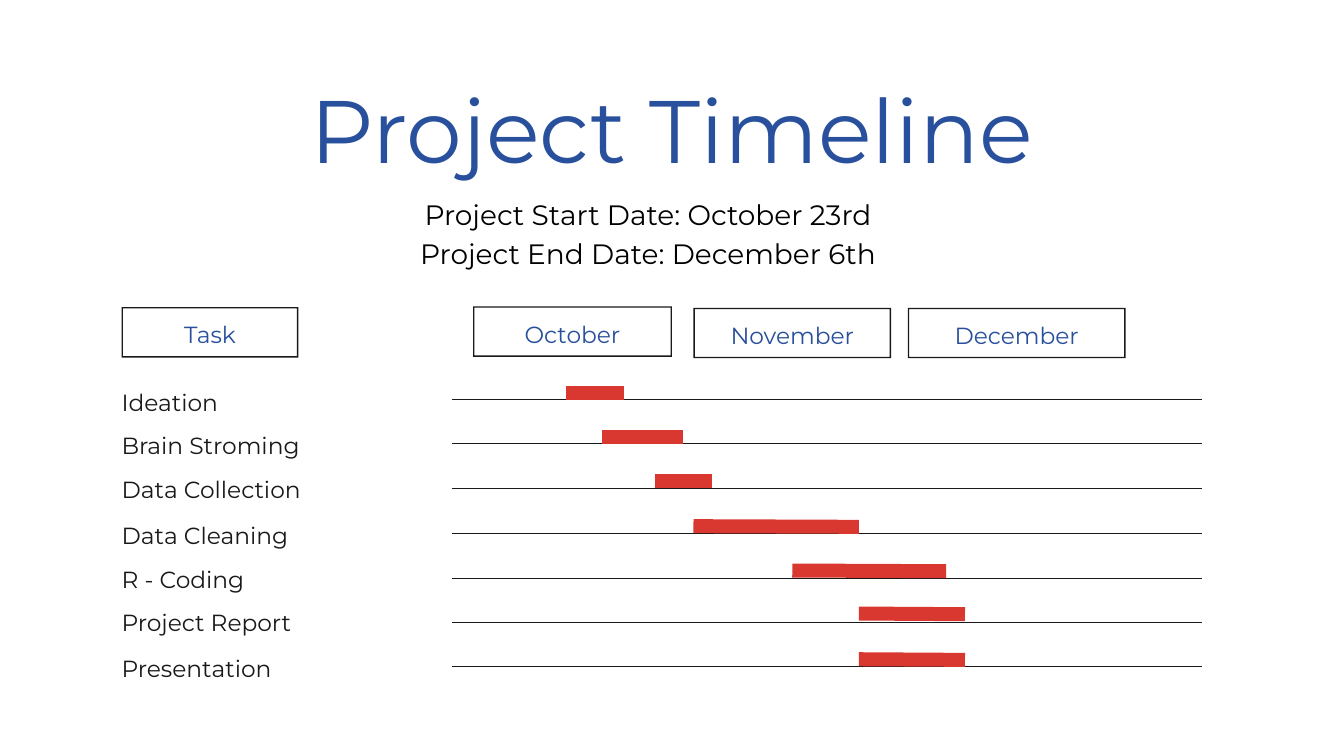
from pptx import Presentation
from pptx.dml.color import RGBColor
from pptx.enum.shapes import MSO_CONNECTOR as Conn
from pptx.enum.text import MSO_AUTO_SIZE as Fit, PP_ALIGN as Align
from pptx.oxml.ns import qn
from pptx.util import Pt
from lxml.etree import SubElement

PX = 9144  # EMU in one px, 100 px to the inch
FONT = "Montserrat"
BLUE, INK, RED, BLACK = "29509C", "191919", "D93830", "000000"

# name, left, top, width, text inset
HEADS = [
    ("October", 704, 456, 296, 32),
    ("November", 1032, 458, 294, 32),
    ("December", 1351, 458, 324, 36),
    ("Task", 181, 457, 263, 29),
]
# name, label top, rule y, bar start, bar end, bar y, bar drop
TASKS = [
    ("Ideation", 570, 595, 843, 928, 585, 0),
    ("Brain Stroming", 634, 660, 896, 1017, 651, 0),
    ("Data Collection", 700, 726, 975, 1060, 716, 0),
    ("Data Cleaning", 769, 794, 1032, 1278, 783, 1),
    ("R - Coding", 834, 860, 1179, 1408, 849, 1),
    ("Project Report", 898, 926, 1278, 1436, 913, 1),
    ("Presentation", 966, 992, 1278, 1436, 981, 1),
]


def paint(code):
    return RGBColor.from_string(code)


class Board:
    def __init__(self, slide):
        self.slide = slide
        self.shapes = slide.shapes

    def text(self, lines, box, size, lead, color, align=Align.LEFT):
        """Add one paragraph per (words, right indent) pair."""
        shape = self.shapes.add_textbox(*[n * PX for n in box])
        frame = shape.text_frame
        frame.margin_left = frame.margin_right = 0
        frame.margin_top = frame.margin_bottom = 0
        frame.word_wrap = True
        frame.auto_size = Fit.SHAPE_TO_FIT_TEXT
        for i, (words, indent) in enumerate(lines):
            para = frame.add_paragraph() if i else frame.paragraphs[0]
            para.alignment = align
            para.line_spacing = Pt(lead)
            if indent:
                para._p.get_or_add_pPr().set("marR", str(indent * PX))
            run = para.add_run()
            run.text = words
            run.font.name = FONT
            run.font.size = Pt(size)
            run.font.color.rgb = paint(color)

    def frame(self, left, top, width, height, edge=2):
        """Draw a hollow border as one outline with a hole."""
        right, low = left + width, top + height
        outer = [(left, top), (left, low), (right, low), (right, top)]
        x, y, r, b = left + edge, top + edge, right - edge, low - edge
        inner = [(r, b), (x, b), (x, y), (r, y)]
        path = self.shapes.build_freeform(*outer[0], scale=PX)
        path.add_line_segments(outer[1:], close=True)
        path.move_to(*inner[0])
        path.add_line_segments(inner[1:], close=True)
        shape = path.convert_to_shape()
        shape.shadow.inherit = False
        shape.fill.solid()
        shape.fill.fore_color.rgb = paint(INK)
        shape.line.fill.background()

    def line(self, start, end, color, weight):
        ends = [n * PX for n in start + end]
        line = self.shapes.add_connector(Conn.STRAIGHT, *ends)
        line.line.color.rgb = paint(color)
        line.line.width = Pt(weight)
        SubElement(line._element.spPr, qn("a:effectLst"))


def main():
    deck = Presentation()
    deck.slide_width, deck.slide_height = 2000 * PX, 1125 * PX
    board = Board(deck.slides.add_slide(deck.slide_layouts[6]))

    for name, left, top, width, inset in HEADS:
        board.frame(left, top, width, 75)
        box = (left + inset, top + 13, width - 2 * inset, 46)
        board.text([(name, 0)], box, 25, 35, BLUE, Align.CENTER)

    for task in TASKS:
        rule = task[2]
        board.line((673, rule), (1788, rule), INK, 0.75)

    board.text([("Project Timeline", 0)], (269, 112, 1462, 158),
               95, 114, BLUE, Align.CENTER)

    for name, top, rule, start, end, mid, drop in TASKS:
        board.text([(name, 0)], (181, top, 393, 47), 25, 35, INK)
        board.line((start, mid), (end, mid + drop), RED, 15)

    dates = [("Project Start Date: October 23rd", 22),
             ("Project End Date: December 6th", 0)]
    board.text(dates, (418, 286, 1115, 116), 30, 42, BLACK, Align.CENTER)

    deck.save("out.pptx")


if __name__ == "__main__":
    main()
